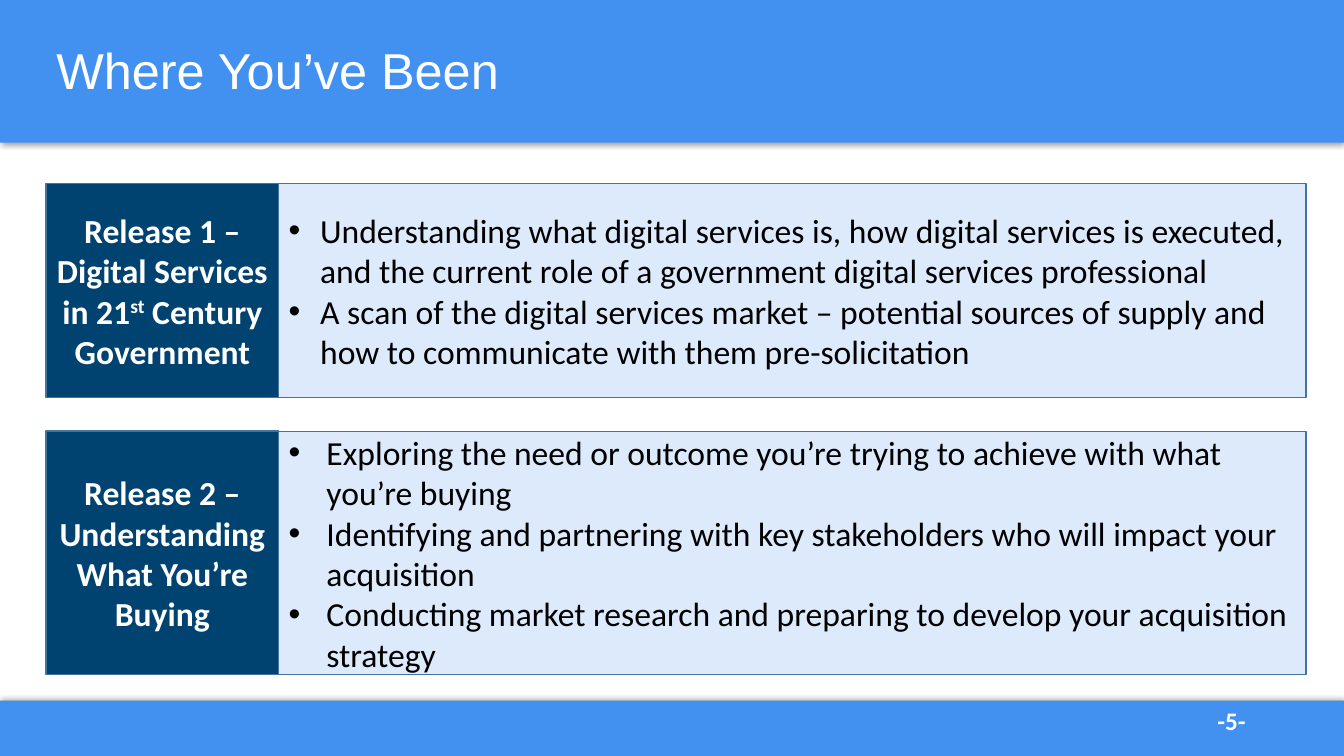
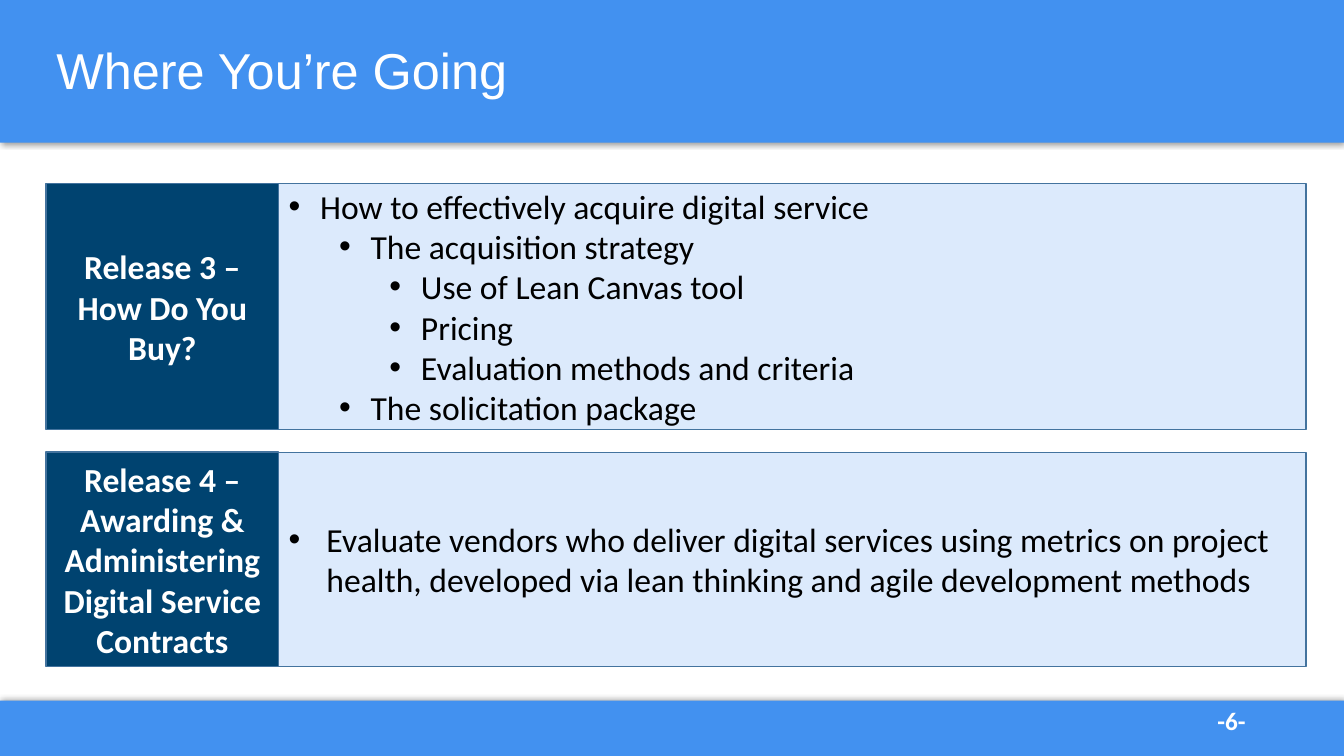
from lxml.etree import SubElement
from pptx import Presentation
from pptx.dml.color import RGBColor
from pptx.enum.shapes import MSO_SHAPE
from pptx.enum.text import MSO_ANCHOR, MSO_AUTO_SIZE, PP_ALIGN
from pptx.oxml.ns import qn
from pptx.util import Pt

WHITE = RGBColor(0xFF, 0xFF, 0xFF)
BLACK = RGBColor(0x00, 0x00, 0x00)
BAND_BLUE = RGBColor(0x42, 0x91, 0xF0)
LABEL_NAVY = RGBColor(0x00, 0x43, 0x70)
PANEL_BLUE = RGBColor(0xDC, 0xEA, 0xFC)
BORDER_BLUE = RGBColor(0x43, 0x73, 0x9E)

SLIDE_WIDTH, SLIDE_HEIGHT = 960, 540
HEADER_HEIGHT, FOOTER_TOP = 102, 500.4
MARGIN, LABEL_WIDTH, LIST_WIDTH = 33, 166, 734
LEVEL_STEP = 36
TWO_CONTENT_LAYOUT = 3

SLIDES = [
    (5, "Where You’ve Been", [
        (131, 153, 22.5,
         [("Release 1 – Digital Services in 21", 0), ("st", 30), (" Century Government", 0)],
         [(0, "Understanding what digital services is, how digital services is executed, "
              "and the current role of a government digital services professional"),
          (0, "A scan of the digital services market – potential sources of supply and "
              "how to communicate with them pre-solicitation")]),
        (308, 174, 27,
         [("Release 2 – Understanding What You’re Buying", 0)],
         [(0, "Exploring the need or outcome you’re trying to achieve with what you’re buying"),
          (0, "Identifying and partnering with key stakeholders who will impact your acquisition"),
          (0, "Conducting market research and preparing to develop your acquisition strategy")]),
    ]),
    (6, "Where You’re Going", [
        (131, 176, 22.5,
         [("Release 3 – How Do You Buy?", 0)],
         [(0, "How to effectively acquire digital service"),
          (1, "The acquisition strategy"),
          (2, "Use of Lean Canvas tool"),
          (2, "Pricing"),
          (2, "Evaluation methods and criteria"),
          (1, "The solicitation package")]),
        (323, 153, 27,
         [("Release 4 – Awarding & Administering Digital Service Contracts", 0)],
         [(0, "Evaluate vendors who deliver digital services using metrics on project health, "
              "developed via lean thinking and agile development methods")]),
    ]),
]


class ReleaseDeck:
    """Holds the shared style and the slide being built."""

    def __init__(self):
        self.prs = Presentation()
        self.prs.slide_width, self.prs.slide_height = Pt(SLIDE_WIDTH), Pt(SLIDE_HEIGHT)
        self.slide = None

    def start_slide(self, number, title):
        layout = self.prs.slide_layouts[TWO_CONTENT_LAYOUT]
        self.slide = self.prs.slides.add_slide(layout)
        self.band(FOOTER_TOP, SLIDE_HEIGHT - FOOTER_TOP, 270)
        self.band(0, HEADER_HEIGHT, 90)
        self.page_number(number)
        self.title(title)

    def place(self, shape, left, top, width, height):
        shape.left, shape.top = Pt(left), Pt(top)
        shape.width, shape.height = Pt(width), Pt(height)

    def rectangle(self, left, top, width, height):
        shape = self.slide.shapes.add_shape(
            MSO_SHAPE.RECTANGLE, Pt(left), Pt(top), Pt(width), Pt(height))
        shape.shadow.inherit = False
        return shape

    def paint(self, shape, fill):
        shape.fill.solid()
        shape.fill.fore_color.rgb = fill
        shape.line.color.rgb = BORDER_BLUE
        shape.line.width = Pt(1)

    def frame(self, shape):
        frame = shape.text_frame
        frame.word_wrap = True
        frame.auto_size = MSO_AUTO_SIZE.NONE
        frame.vertical_anchor = MSO_ANCHOR.MIDDLE
        return frame

    def run(self, paragraph, text, size, color, font="Calibri", bold=False):
        run = paragraph.add_run()
        run.text = text
        run.font.size, run.font.name, run.font.bold = Pt(size), font, bold
        run.font.color.rgb = color
        return run

    def band(self, top, height, shadow_angle):
        band = self.rectangle(0, top, SLIDE_WIDTH, height)
        band.fill.solid()
        band.fill.fore_color.rgb = BAND_BLUE
        band.line.fill.background()
        effects = band.element.spPr.find(qn("a:effectLst"))
        shadow = SubElement(effects, qn("a:outerShdw"), blurRad=str(Pt(4)),
                            dist=str(Pt(1)), dir=str(shadow_angle * 60000),
                            algn="ctr", rotWithShape="0")
        color = SubElement(shadow, qn("a:srgbClr"), val=str(BLACK))
        SubElement(color, qn("a:alpha"), val="40000")

    def page_number(self, number):
        box = self.slide.shapes.add_textbox(Pt(862.5), Pt(FOOTER_TOP), Pt(70.5), Pt(29))
        box.text_frame.word_wrap = True
        self.run(box.text_frame.paragraphs[0], f"-{number}-", 18, WHITE, bold=True)

    def title(self, text):
        title = self.slide.shapes.title
        self.place(title, MARGIN, 0, 780, 104)
        title.element.getparent().append(title.element)
        paragraph = self.frame(title).paragraphs[0]
        paragraph.alignment = PP_ALIGN.LEFT
        paragraph.line_spacing = 0.9
        self.run(paragraph, text, 36, WHITE, font="Arial")

    def label(self, top, height, parts):
        label = self.rectangle(MARGIN, top, LABEL_WIDTH, height)
        self.paint(label, LABEL_NAVY)
        paragraph = self.frame(label).paragraphs[0]
        paragraph.alignment = PP_ALIGN.CENTER
        for text, raised in parts:
            run = self.run(paragraph, text, 24, WHITE, bold=True)
            if raised:
                run.font._element.set("baseline", str(raised * 1000))

    def bullet_list(self, body, top, height, indent, items):
        self.place(body, MARGIN + LABEL_WIDTH, top, LIST_WIDTH, height)
        self.paint(body, PANEL_BLUE)
        frame = self.frame(body)
        for index, (level, text) in enumerate(items):
            paragraph = frame.add_paragraph() if index else frame.paragraphs[0]
            paragraph.level = level
            paragraph.alignment = PP_ALIGN.LEFT
            paragraph.line_spacing = 1.0
            paragraph.space_before = paragraph.space_after = Pt(0)
            properties = paragraph._p.get_or_add_pPr()
            properties.set("marL", str(Pt(indent + level * LEVEL_STEP)))
            properties.set("indent", str(-Pt(indent)))
            SubElement(properties, qn("a:buFont"), typeface="Arial")
            SubElement(properties, qn("a:buChar"), char="•")
            self.run(paragraph, text, 24, BLACK)

    def release(self, position, top, height, indent, label_parts, items):
        body = self.slide.placeholders[position]
        self.bullet_list(body, top, height, indent, items)
        self.label(top, height, label_parts)


def main():
    deck = ReleaseDeck()
    for number, title, releases in SLIDES:
        deck.start_slide(number, title)
        for position, release in enumerate(releases, start=1):
            deck.release(position, *release)
    deck.prs.save("out.pptx")


if __name__ == "__main__":
    main()
